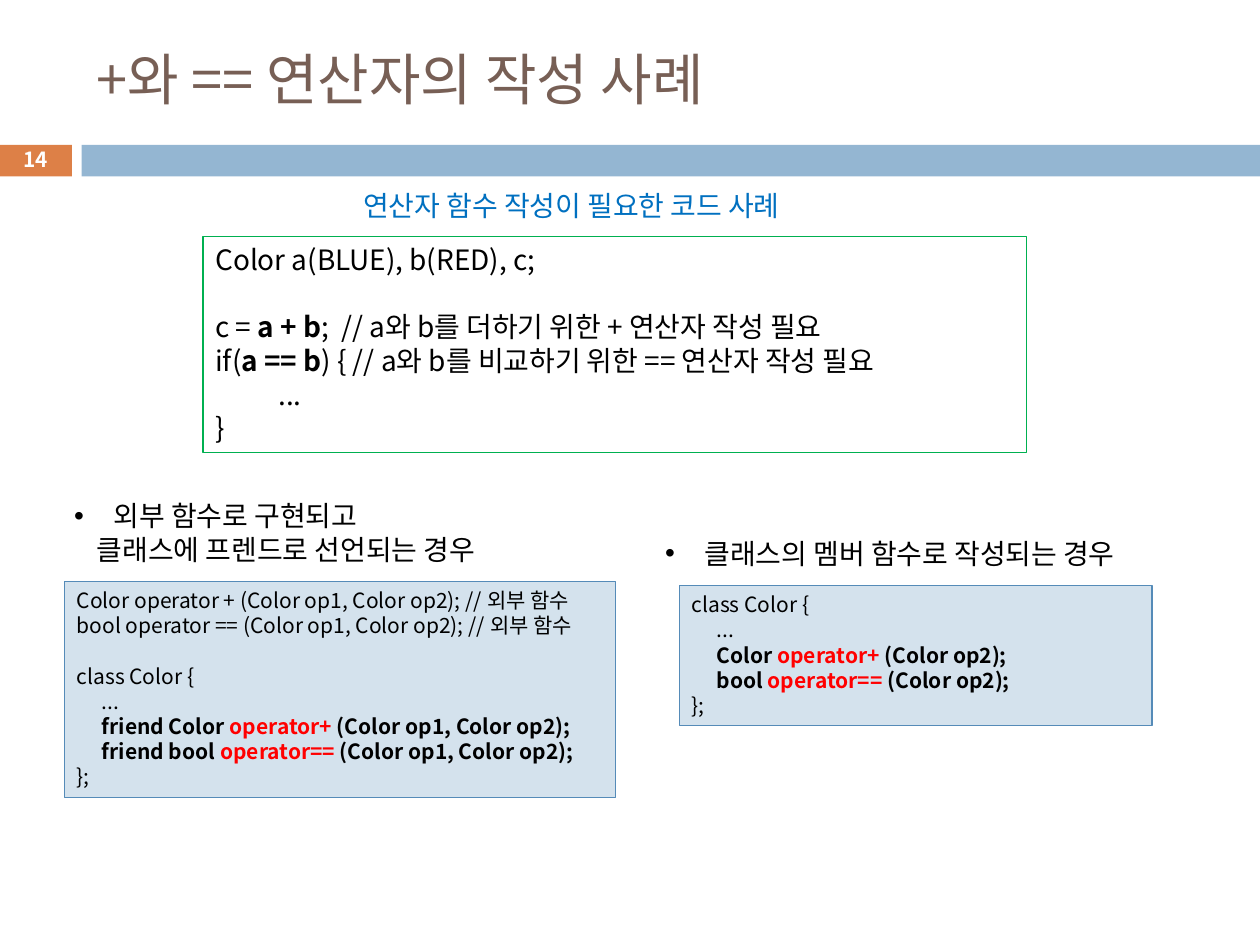
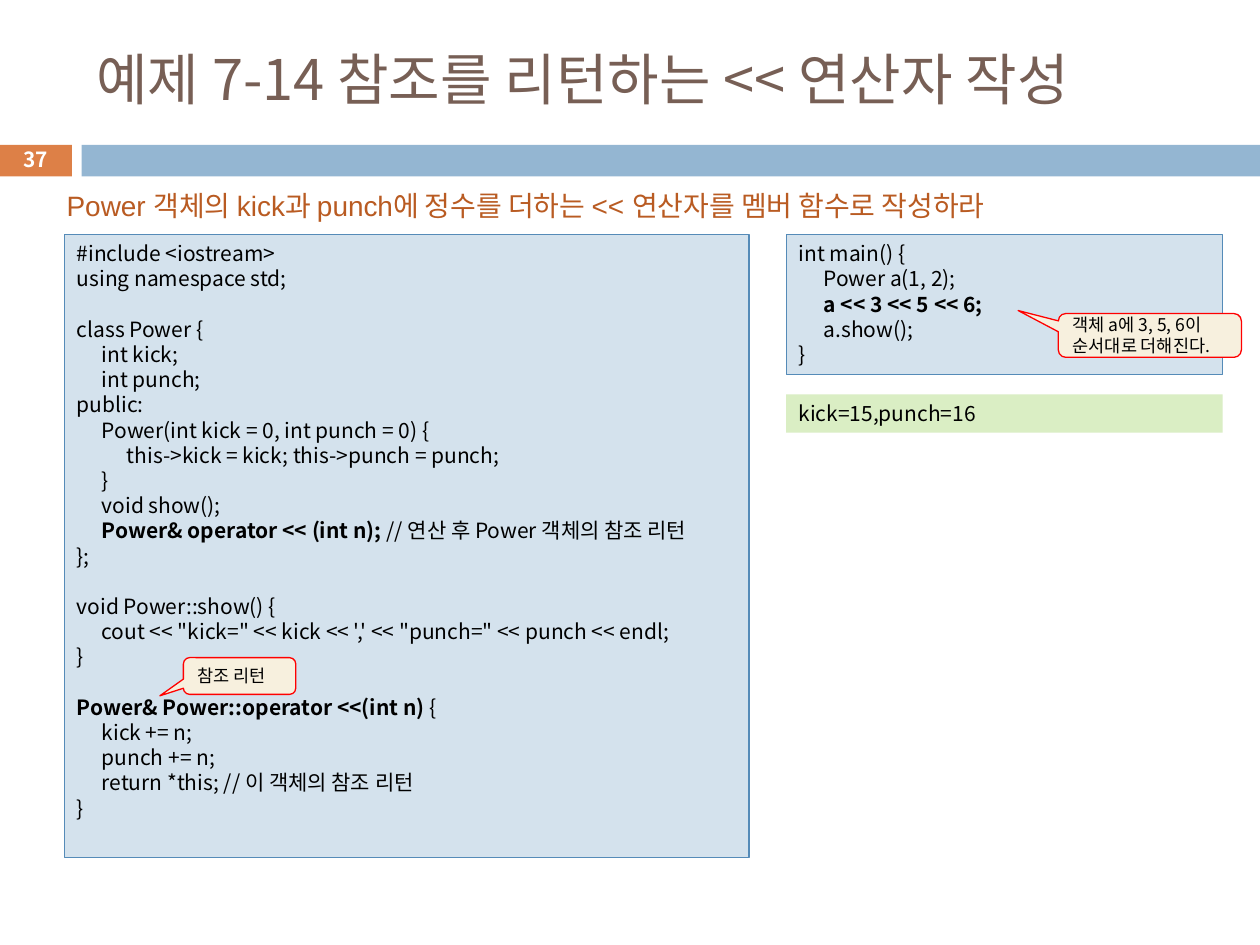
from lxml import etree
from pptx import Presentation
from pptx.dml import color as dml
from pptx.enum import shapes, text
from pptx.oxml import ns
from pptx.util import Pt

FONT = "Noto Sans CJK KR"
BLACK = "000000"
BROWN = "775F55"
ORANGE = "DD8047"
BAND_BLUE = "94B6D2"
CODE_FILL = "D4E2ED"
CODE_LINE = "558BB8"
LINE_RATIO = 1.2
CODE_TAB = 14.25
BULLET_INDENT = 22.5
BOLD = {"bold": True}
BOLD_RED = {"bold": True, "color": "FF0000"}

COLOR_USE = [
    "Color a(BLUE), b(RED), c;",
    "",
    ["c = ", ("a + b", BOLD), ";  // a와 b를 더하기 위한 + 연산자 작성 필요"],
    ["if(", ("a == b", BOLD), ") { // a와 b를 비교하기 위한 == 연산자 작성 필요"],
    "\t...",
    "}",
]
POWER_CLASS = [
    "#include <iostream>",
    "using namespace std;",
    "",
    "class Power {",
    "\tint kick;",
    "\tint punch;",
    "public:",
    "\tPower(int kick = 0, int punch = 0) {",
    "\t\tthis->kick = kick; this->punch = punch;",
    "\t}",
    "\tvoid show();",
    [("\tPower& operator << (int n); ", BOLD), "// 연산 후 Power 객체의 참조 리턴"],
    "};",
    "",
    "void Power::show() {",
    "\tcout << \"kick=\" << kick << ',' << \"punch=\" << punch << endl;",
    "}",
    "",
    [("Power& Power::operator <<(int n) ", BOLD), "{"],
    "\tkick += n;",
    "\tpunch += n;",
    "\treturn *this; // 이 객체의 참조 리턴",
    "}",
]
POWER_MAIN = [
    "int main() {",
    "\tPower a(1, 2);",
    [("\ta << 3 << 5 << 6;", BOLD)],
    "\ta.show();",
    "}",
]


def rgb(value):
    return dml.RGBColor.from_string(value)


def operator_class(prefix, parameters):
    declarations = [
        [(f"\t{prefix}{result} ", BOLD), (f"operator{symbol} ", BOLD_RED),
         (f"({parameters});", BOLD)]
        for result, symbol in (("Color", "+"), ("bool", "=="))
    ]
    return ["class Color {", "\t...", *declarations, "};"]


def add_run(paragraph, content, size=12, color=BLACK, bold=False, font=FONT):
    run = paragraph.add_run()
    run.text = content
    run.font.size = Pt(size)
    run.font.bold = bold
    run.font.color.rgb = rgb(color)
    run.font.name = font
    east_asian = etree.SubElement(run.font._element, ns.qn("a:ea"))
    east_asian.set("typeface", FONT)


def write_lines(shape, lines, size=12, tab=None, anchor="TOP", align="LEFT", **style):
    frame = shape.text_frame
    frame.word_wrap = True
    frame.vertical_anchor = text.MSO_ANCHOR[anchor]
    line_height = Pt(size * LINE_RATIO)
    paragraph, gap = None, 0
    for line in lines:
        if not line:
            gap = line_height
            continue
        paragraph = frame.add_paragraph() if paragraph else frame.paragraphs[0]
        paragraph.alignment = text.PP_ALIGN[align]
        paragraph.line_spacing = line_height
        paragraph.space_before = gap
        gap = 0
        if tab:
            set_tabs(paragraph, tab)
        for segment in [line] if isinstance(line, str) else line:
            content, emphasis = (segment, {}) if isinstance(segment, str) else segment
            add_run(paragraph, content, size=size, **{**style, **emphasis})


def set_tabs(paragraph, step):
    stops = etree.SubElement(paragraph._p.get_or_add_pPr(), ns.qn("a:tabLst"))
    for level in (1, 2):
        etree.SubElement(stops, ns.qn("a:tab"), pos=str(Pt(step * level)), algn="l")


def set_indent(paragraph, left, first=0, bullet=None):
    properties = paragraph._p.get_or_add_pPr()
    properties.set("marL", str(Pt(left)))
    properties.set("indent", str(Pt(first)))
    if bullet:
        etree.SubElement(properties, ns.qn("a:buFont"), typeface="Arial")
        etree.SubElement(properties, ns.qn("a:buChar"), char=bullet)


def add_box(slide, bounds, fill=None, line=None, kind=shapes.MSO_SHAPE.RECTANGLE):
    shape = slide.shapes.add_shape(kind, *map(Pt, bounds))
    shape.shadow.inherit = False
    if fill:
        shape.fill.solid()
        shape.fill.fore_color.rgb = rgb(fill)
    else:
        shape.fill.background()
    if line:
        shape.line.color.rgb = rgb(line)
        shape.line.width = Pt(0.75)
    else:
        shape.line.fill.background()
    return shape


def add_label(slide, bounds, lines, **style):
    label = slide.shapes.add_textbox(*map(Pt, bounds))
    write_lines(label, lines, **style)
    return label


def add_code(slide, bounds, lines):
    write_lines(add_box(slide, bounds, CODE_FILL, CODE_LINE), lines, tab=CODE_TAB)


def add_bulleted_label(slide, bounds, lines):
    first, *others = add_label(slide, bounds, lines, size=16).text_frame.paragraphs
    set_indent(first, BULLET_INDENT, -BULLET_INDENT, "•")
    for paragraph in others:
        set_indent(paragraph, 13)


def add_callout(slide, bounds, lines, tip):
    callout = add_box(slide, bounds, "F7F0DE", "FF0000",
                      shapes.MSO_SHAPE.ROUNDED_RECTANGULAR_CALLOUT)
    for index, value in enumerate((*tip, 0.17)):
        callout.adjustments[index] = value
    write_lines(callout, lines, size=10, anchor="MIDDLE")


def add_titled_slide(presentation, title, number):
    slide = presentation.slides.add_slide(presentation.slide_layouts[6])
    add_box(slide, (-0.7, 82.8, 41.8, 18), ORANGE)
    add_box(slide, (46.6, 82.8, 673.4, 18), BAND_BLUE)
    add_label(slide, (48, 18, 642, 53.5), [title], size=32, color=BROWN, anchor="MIDDLE")
    add_label(slide, (-0.7, 81.5, 41.8, 19.5), [number], size=11.9, color="FFFFFF",
              bold=True, anchor="MIDDLE", align="CENTER")
    return slide


def build_operator_cases(presentation):
    slide = add_titled_slide(presentation, "+와 == 연산자의 작성 사례", "14")
    add_label(slide, (200.5, 104.4, 285, 26.6), ["연산자 함수 작성이 필요한 코드 사례"],
              size=16, color="0070C0")
    write_lines(add_box(slide, (116, 135.2, 470.6, 123.6), line="00B050"), COLOR_USE, size=16)

    add_bulleted_label(slide, (35.3, 281.5, 275, 46),
                       ["외부 함수로 구현되고", "클래스에 프렌드로 선언되는 경우"])
    declarations = [f"{result} operator {symbol} (Color op1, Color op2); // 외부 함수"
                    for result, symbol in (("Color", "+"), ("bool", "=="))]
    add_code(slide, (36.8, 332.2, 315, 123.6),
             [*declarations, "", *operator_class("friend ", "Color op1, Color op2")])

    add_bulleted_label(slide, (373, 303, 308, 26.6), ["클래스의 멤버 함수로 작성되는 경우"])
    add_code(slide, (388.2, 334.6, 270.2, 80), operator_class("", "Color op2"))


def build_reference_example(presentation):
    slide = add_titled_slide(presentation, "예제 7-14 참조를 리턴하는 << 연산자 작성", "37")
    add_label(slide, (31, 104, 641, 26.6),
              ["Power 객체의 kick과 punch에 정수를 더하는 << 연산자를 멤버 함수로 작성하라"],
              size=16, color="B95B22", font="Arial")
    add_code(slide, (36.8, 134, 391.2, 356), POWER_CLASS)
    add_code(slide, (449.3, 134, 249.4, 80), POWER_MAIN)
    write_lines(add_box(slide, (449.3, 225.4, 249.4, 21.8), "DAEEC4"), ["kick=15,punch=16"])
    add_callout(slide, (104.8, 375.8, 64.2, 21), ["참조 리턴"], (-0.71, 0.54))
    add_callout(slide, (604.8, 179.2, 104.6, 25), ["객체 a에 3, 5, 6이", "순서대로 더해진다."],
                (-0.72, -0.57))


def main():
    presentation = Presentation()
    presentation.slide_width = Pt(720)
    presentation.slide_height = Pt(540)
    build_operator_cases(presentation)
    build_reference_example(presentation)
    presentation.save("out.pptx")


if __name__ == "__main__":
    main()
